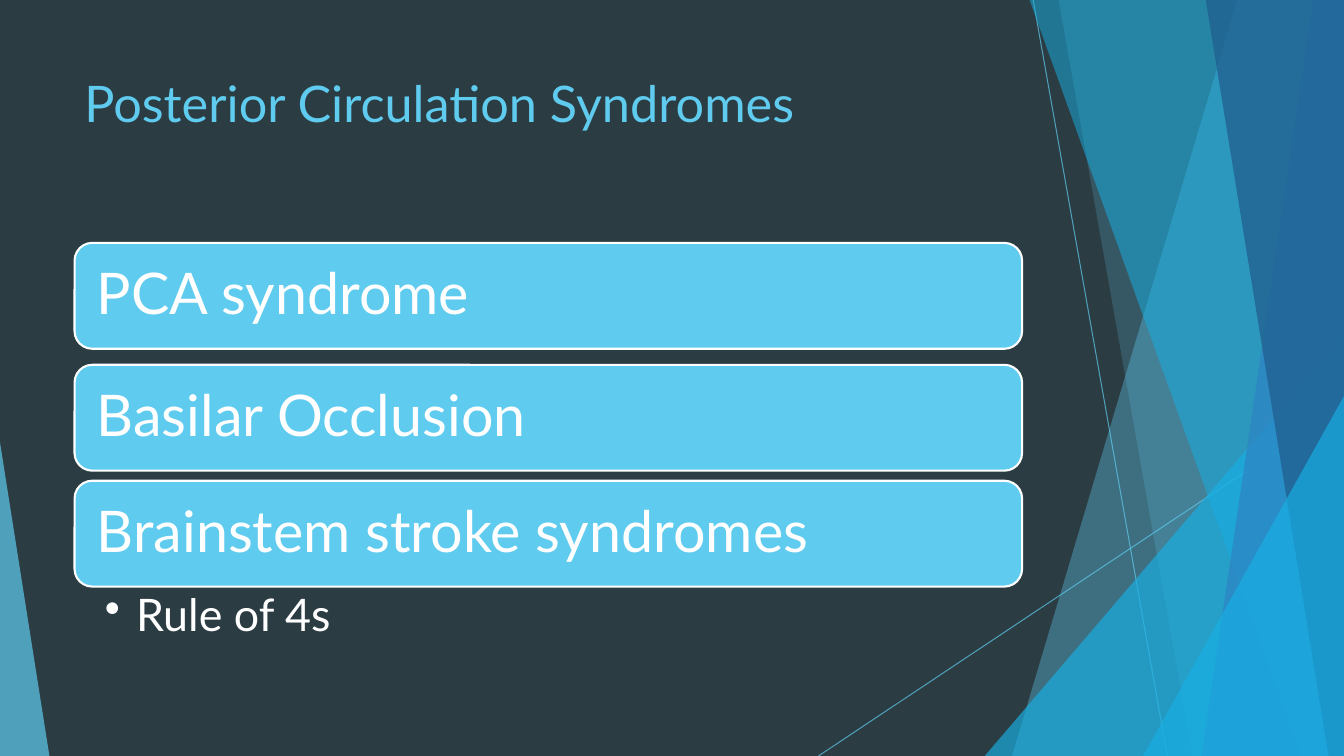
from lxml import etree
from pptx import Presentation
from pptx.dml.color import RGBColor
from pptx.enum.shapes import MSO_CONNECTOR, MSO_SHAPE
from pptx.enum.text import MSO_ANCHOR, PP_ALIGN
from pptx.oxml.ns import qn
from pptx.util import Pt

STRAIGHT = MSO_CONNECTOR.STRAIGHT
TRIANGLE = MSO_SHAPE.ISOSCELES_TRIANGLE
ROUNDED = MSO_SHAPE.ROUNDED_RECTANGLE
TOP, MIDDLE = MSO_ANCHOR.TOP, MSO_ANCHOR.MIDDLE
LEFT = PP_ALIGN.LEFT

WIDE, HIGH = 960, 540
EDGE, SPAN = 53.3, 676.8
SKY, CYAN, BLUE, NAVY = "5FCBEF", "17B0E4", "2E83C3", "226292"
DARK, WHITE = "2C3C43", "FFFFFF"


def tint(color, code):
    color.rgb = RGBColor.from_string(code)


def fade(shape, alpha):
    """Set the opacity, in percent, of the shape's colour."""
    for color in shape._element.spPr.iter(qn("a:srgbClr")):
        etree.SubElement(color, qn("a:alpha")).set("val", str(alpha * 1000))


def paint(shape, code):
    shape.shadow.inherit = False
    shape.fill.solid()
    tint(shape.fill.fore_color, code)
    shape.line.fill.background()


def add_ray(slide, x1, y1, x2, y2):
    ray = slide.shapes.add_connector(STRAIGHT, Pt(x1), Pt(y1), Pt(x2), Pt(y2))
    ray.line.width = Pt(0.75)
    tint(ray.line.color, SKY)
    fade(ray, 70)
    etree.SubElement(ray._element.spPr, qn("a:effectLst"))


def add_band(slide, head, foot, code, alpha):
    """Fill from a slanted left edge (head x to foot x) to the slide's right."""
    pen = slide.shapes.build_freeform(Pt(head), Pt(-1))
    corners = [(WIDE, -1), (WIDE, HIGH), (foot, HIGH)]
    pen.add_line_segments([(Pt(x), Pt(y)) for x, y in corners])
    band = pen.convert_to_shape()
    paint(band, code)
    fade(band, alpha)


def add_wedge(slide, x, y, peak, code, alpha, wide):
    """Draw a triangle that stands on the slide's lower edge."""
    wedge = slide.shapes.add_shape(TRIANGLE, Pt(x), Pt(y), Pt(wide), Pt(HIGH - y))
    wedge.adjustments[0] = peak
    paint(wedge, code)
    fade(wedge, alpha)


def write(shape, text, size, code, insets, anchor=TOP, spacing=1.0):
    frame = shape.text_frame
    frame.word_wrap = True
    frame.vertical_anchor = anchor
    (frame.margin_left, frame.margin_top,
     frame.margin_right, frame.margin_bottom) = map(Pt, insets)
    para = frame.paragraphs[0]
    para.alignment = LEFT
    para.line_spacing = spacing
    run = para.add_run()
    run.text = text
    run.font.name = "Lato"
    run.font.size = Pt(size)
    tint(run.font.color, code)
    return para


def add_label(slide, y, high, *args, **kwargs):
    box = slide.shapes.add_textbox(Pt(EDGE), Pt(y), Pt(SPAN), Pt(high))
    return write(box, *args, **kwargs)


def add_card(slide, y, text):
    card = slide.shapes.add_shape(ROUNDED, Pt(EDGE), Pt(y), Pt(SPAN), Pt(75.6))
    paint(card, SKY)
    card.line.width = Pt(1.5)
    tint(card.line.color, WHITE)
    write(card, text, 41, WHITE, [12.2] * 4, MIDDLE, 0.9)


def add_bullet(para, indent):
    para.level = 1
    props = para._p.get_or_add_pPr()
    props.set("marL", str(Pt(indent)))
    props.set("indent", str(Pt(-indent)))
    etree.SubElement(props, qn("a:buChar")).set("char", "•")


def add_facets(slide):
    add_ray(slide, 738, 0, 833.8, HIGH)
    add_ray(slide, WIDE, 290.2, 584.6, HIGH)
    add_band(slide, 884.2, 722.9, SKY, 36)
    add_band(slide, 756, 851.8, SKY, 20)
    add_wedge(slide, 703.4, 239.8, 1, CYAN, 66, WIDE - 703.4)
    add_band(slide, 735.1, 929.5, CYAN, 50)
    add_band(slide, 938.2, 858.2, BLUE, 70)
    add_band(slide, 861.1, 949, NAVY, 80)
    add_wedge(slide, 816.5, 283, 1, CYAN, 66, WIDE - 816.5)
    add_wedge(slide, 0, 316, 0, SKY, 70, 35.3)


def main():
    deck = Presentation()
    deck.slide_width, deck.slide_height = Pt(WIDE), Pt(HIGH)
    slide = deck.slides.add_slide(deck.slide_layouts[6])
    slide.background.fill.solid()
    tint(slide.background.fill.fore_color, DARK)

    add_facets(slide)
    add_label(slide, 48.2, 103.7, "Posterior Circulation Syndromes", 36, SKY,
              [7.2, 3.6, 7.2, 3.6])
    cards = [(173.5, "PCA syndrome"), (260.6, "Basilar Occlusion"),
             (343.4, "Brainstem stroke syndromes")]
    for y, text in cards:
        add_card(slide, y, text)
    rule = add_label(slide, 419, 53.3, "Rule of 4s", 32, WHITE,
                     [21.6, 4.3, 23, 4.3], spacing=0.9)
    add_bullet(rule, 22.3)
    deck.save("out.pptx")


if __name__ == "__main__":
    main()
